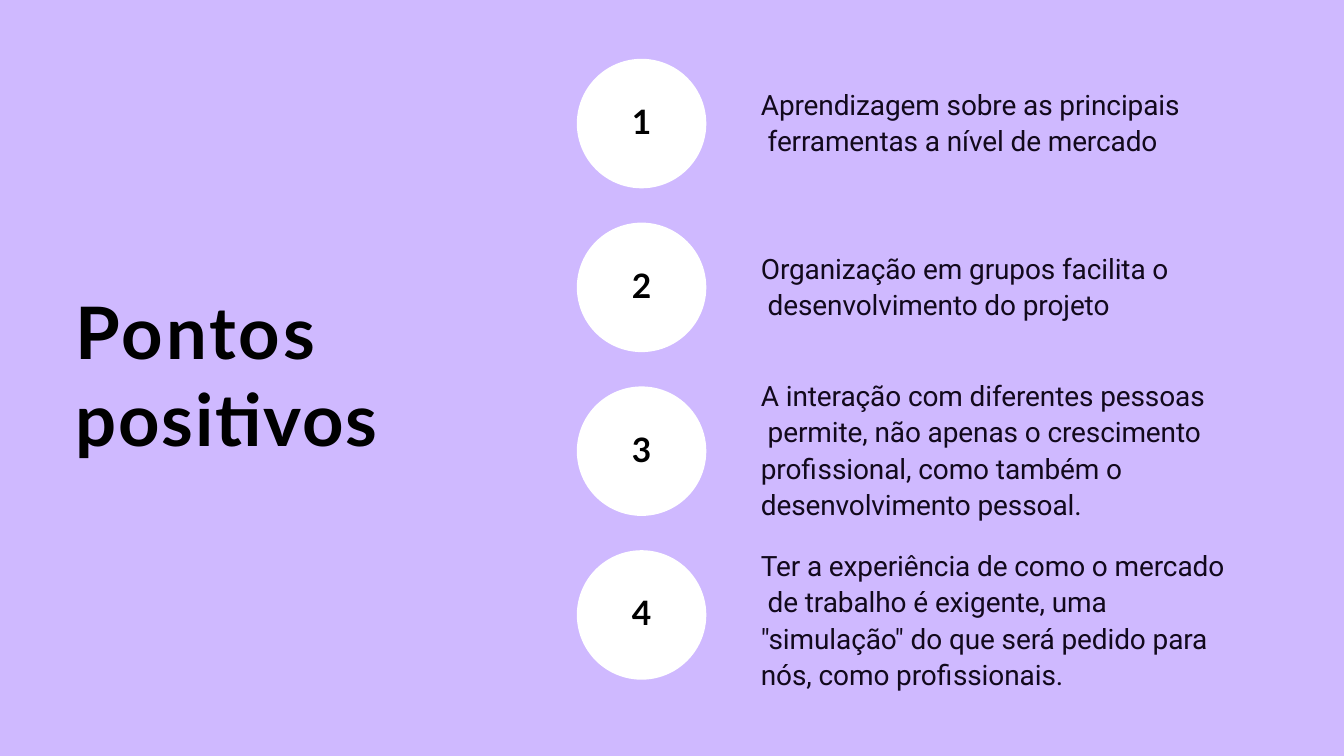
from pptx import Presentation
from pptx.dml.color import RGBColor
from pptx.enum.shapes import MSO_SHAPE as Shape
from pptx.enum.text import MSO_ANCHOR as Anchor, PP_ALIGN as Align
from pptx.util import Pt

PX = 9525  # EMU per px, 96 px to the inch
LILAC, WHITE, BLACK, INK = "CFB9FF", "FFFFFF", "000000", "12091C"
DISC = 185
PITCH = 234

# Text and its top, measured from the top of its disc
POINTS = [
    ("Aprendizagem sobre as principais\v ferramentas a nível de mercado", 37),
    ("Organização em grupos facilita o\v desenvolvimento do projeto", 37),
    ("A interação com diferentes pessoas\v permite, não apenas o crescimento "
     "profissional, como também o desenvolvimento pessoal.", -15),
    ("Ter a experiência de como o mercado\v de trabalho é exigente, uma\n"
     "\"simulação\" do que será pedido para nós, como profissionais.", -6),
]


def paint(fill, color):
    fill.solid()
    fill.fore_color.rgb = RGBColor.from_string(color)


def write(frame, text, font, size, color, bold=False, gap=0):
    """Fill a frame with text; gap is letter spacing in 1/100 pt."""
    frame.word_wrap = True
    frame.margin_left = frame.margin_right = 0
    frame.margin_top = frame.margin_bottom = 0
    frame.text = text
    for para in frame.paragraphs:
        for run in para.runs:
            run.font.name = font
            run.font.size = Pt(size)
            run.font.bold = bold
            run.font.color.rgb = RGBColor.from_string(color)
            run.font._element.set("spc", str(gap))


def add_text(slide, x, y, w, h):
    return slide.shapes.add_textbox(x * PX, y * PX, w * PX, h * PX).text_frame


def add_title(slide, x, y, w, h):
    frame = add_text(slide, x, y, w, h)
    write(frame, "Pontos\vpositivos", "Lato", 77.5, BLACK, True, 320)
    # The second word is set tighter
    frame.paragraphs[0].runs[1].font._element.set("spc", "190")


def add_disc(slide, x, y, label):
    disc = slide.shapes.add_shape(Shape.OVAL, x * PX, y * PX, DISC * PX, DISC * PX)
    disc.shadow.inherit = False
    paint(disc.fill, WHITE)
    disc.line.fill.background()
    frame = disc.text_frame
    write(frame, label, "Lato", 36, BLACK, True, 50)
    frame.margin_bottom = 7 * PX
    frame.vertical_anchor = Anchor.MIDDLE
    frame.paragraphs[0].alignment = Align.CENTER


def add_point(slide, x, y, w, num, text, shift):
    add_disc(slide, x, y, str(num))
    left = 263
    height = DISC - 2 * shift
    frame = add_text(slide, x + left, y + shift, w - left, height)
    write(frame, text, "Roboto", 30, INK, gap=-10)
    for para in frame.paragraphs:
        para.line_spacing = 1.08


def add_list(slide, x, y, w):
    for i, (text, shift) in enumerate(POINTS):
        add_point(slide, x, y + i * PITCH, w, i + 1, text, shift)


def main():
    deck = Presentation()
    deck.slide_width, deck.slide_height = 1920 * PX, 1080 * PX
    slide = deck.slides.add_slide(deck.slide_layouts[6])
    paint(slide.background.fill, LILAC)
    add_title(slide, 108, 410, 450, 250)
    add_list(slide, 824, 84, 935)
    deck.save("out.pptx")


if __name__ == "__main__":
    main()
